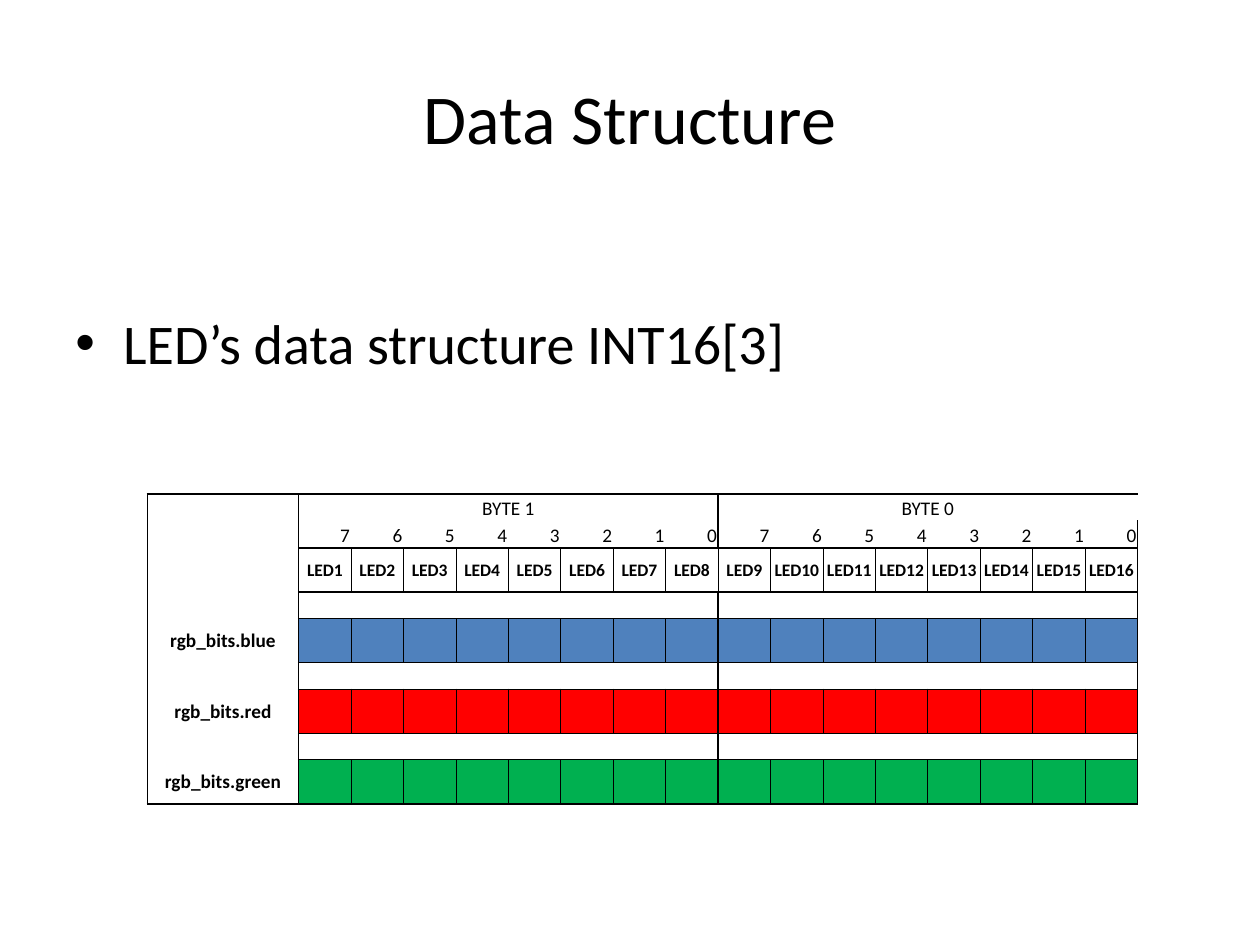
"""Build the slide that shows the LED data structure bit by bit."""
from lxml import etree
from pptx import Presentation
from pptx.dml.color import RGBColor
from pptx.enum.text import MSO_ANCHOR, PP_ALIGN
from pptx.oxml.ns import qn
from pptx.util import Inches, Pt

CENTER, LEFT, RIGHT = PP_ALIGN.CENTER, PP_ALIGN.LEFT, PP_ALIGN.RIGHT
MIDDLE, BOTTOM, TOP = MSO_ANCHOR.MIDDLE, MSO_ANCHOR.BOTTOM, MSO_ANCHOR.TOP
FONT, BLACK = "Calibri", "000000"

TITLE = "Data Structure"
BULLET = "LED’s data structure INT16[3]"
BYTES = ["BYTE 1", "BYTE 0"]
BITS_PER_BYTE = 8
BIT_COUNT = BITS_PER_BYTE * len(BYTES)
CHANNELS = [
    ("rgb_bits.blue", "4F81BD"),
    ("rgb_bits.red", "FF0000"),
    ("rgb_bits.green", "00B050"),
]

TABLE_LEFT, TABLE_TOP, TABLE_WIDTH, LABEL_WIDTH = 1.17, 3.92, 7.86, 1.2
BYTE_ROW, BIT_ROW, LED_ROW, FIRST_GAP_ROW = range(4)
ROW_HEIGHTS = [0.21, 0.22, 0.35] + [0.21, 0.35] * len(CHANNELS)
ROW_COUNT, COLUMN_COUNT = len(ROW_HEIGHTS), BIT_COUNT + 1
SECOND_BYTE = BITS_PER_BYTE + 1
THICK, THIN = 1, 0.5


def color(value):
    return RGBColor.from_string(value)


def write(frame, text, size, bold=False, align=LEFT, anchor=TOP):
    """Put one formatted paragraph into a text frame."""
    frame.word_wrap = True
    frame.vertical_anchor = anchor
    paragraph = frame.paragraphs[0]
    paragraph.alignment = align
    run = paragraph.add_run()
    run.text = text
    run.font.name, run.font.size, run.font.bold = FONT, Pt(size), bold
    run.font.color.rgb = color(BLACK)
    return paragraph


def add_bullet(paragraph, indent):
    properties = paragraph._p.get_or_add_pPr()
    properties.set("marL", str(Inches(indent)))
    properties.set("indent", str(-Inches(indent)))
    etree.SubElement(properties, qn("a:buFont"), typeface="Arial")
    etree.SubElement(properties, qn("a:buChar"), char="•")


def vertical_width(row, edge):
    """Return the line width at a column edge, 0 for no line."""
    if edge in (0, 1, COLUMN_COUNT):
        return THICK
    has_bits = row >= LED_ROW and row % 2 == 0
    if edge == SECOND_BYTE and row != LED_ROW:
        return THICK
    return THIN if has_bits else 0


def horizontal_width(edge, column):
    """Return the line width at a row edge, 0 for no line."""
    if edge in (0, ROW_COUNT):
        return THICK
    if column == 0 or edge == BIT_ROW:
        return 0
    return THICK if edge <= FIRST_GAP_ROW else THIN


def draw_borders(cell, row, column):
    widths = {
        "a:lnL": vertical_width(row, column),
        "a:lnR": vertical_width(row, column + 1),
        "a:lnT": horizontal_width(row, column),
        "a:lnB": horizontal_width(row + 1, column),
    }
    properties = cell._tc.get_or_add_tcPr()
    for tag, width in widths.items():
        line = etree.SubElement(properties, qn(tag), w=str(Pt(width)))
        if width:
            fill = etree.SubElement(line, qn("a:solidFill"))
            etree.SubElement(fill, qn("a:srgbClr"), val=BLACK)
        else:
            etree.SubElement(line, qn("a:noFill"))


def cell_contents():
    """Map each filled cell position to its text and format."""
    header = {"size": 11, "anchor": BOTTOM}
    contents = {}
    for index, name in enumerate(BYTES):
        position = (BYTE_ROW, 1 + index * BITS_PER_BYTE)
        contents[position] = dict(header, text=name, align=CENTER)
    for bit in range(BIT_COUNT):
        number = BITS_PER_BYTE - 1 - bit % BITS_PER_BYTE
        contents[BIT_ROW, bit + 1] = dict(header, text=str(number), align=RIGHT)
        contents[LED_ROW, bit + 1] = dict(
            text=f"LED{bit + 1}", size=10, bold=True, align=CENTER, anchor=MIDDLE)
    for index, (name, _) in enumerate(CHANNELS):
        contents[FIRST_GAP_ROW + 1 + 2 * index, 0] = dict(
            text=name, size=11, bold=True, align=CENTER, anchor=MIDDLE)
    return contents


def add_bit_table(slide):
    table = slide.shapes.add_table(
        ROW_COUNT, COLUMN_COUNT, Inches(TABLE_LEFT), Inches(TABLE_TOP),
        Inches(TABLE_WIDTH), Inches(sum(ROW_HEIGHTS))).table
    table.first_row = table.horz_banding = False
    bit_width = (TABLE_WIDTH - LABEL_WIDTH) / BIT_COUNT
    for index, column in enumerate(table.columns):
        column.width = Inches(bit_width if index else LABEL_WIDTH)
    for row, height in zip(table.rows, ROW_HEIGHTS):
        row.height = Inches(height)
    contents = cell_contents()
    fills = {FIRST_GAP_ROW + 1 + 2 * index: fill
             for index, (_, fill) in enumerate(CHANNELS)}
    for row in range(ROW_COUNT):
        for column in range(COLUMN_COUNT):
            cell = table.cell(row, column)
            cell.margin_left = cell.margin_right = cell.margin_top = Inches(0.01)
            cell.margin_bottom = 0
            draw_borders(cell, row, column)
            if column and row in fills:
                cell.fill.solid()
                cell.fill.fore_color.rgb = color(fills[row])
            else:
                cell.fill.background()
            if (row, column) in contents:
                content = dict(contents[row, column])
                cell.vertical_anchor = content.pop("anchor")
                write(cell.text_frame, anchor=None, **content)
            else:
                paragraph = cell.text_frame.paragraphs[0]
                etree.SubElement(paragraph._p, qn("a:endParaRPr"), sz="1000")
    for start in (1, SECOND_BYTE):
        table.cell(BYTE_ROW, start).merge(
            table.cell(BYTE_ROW, start + BITS_PER_BYTE - 1))


def main():
    presentation = Presentation()
    presentation.slide_width, presentation.slide_height = Inches(10), Inches(7.5)
    slide = presentation.slides.add_slide(presentation.slide_layouts[5])
    title = slide.shapes.title
    title.left, title.top = Inches(0.5), Inches(0.3)
    title.width, title.height = Inches(9), Inches(1.25)
    write(title.text_frame, TITLE, 40, align=CENTER, anchor=MIDDLE)
    body = slide.shapes.add_textbox(
        Inches(0.5), Inches(1.75), Inches(9), Inches(4.95))
    body.text_frame.margin_top = Inches(0.7)
    add_bullet(write(body.text_frame, BULLET, 32), 0.38)
    add_bit_table(slide)
    presentation.save("out.pptx")


if __name__ == "__main__":
    main()
